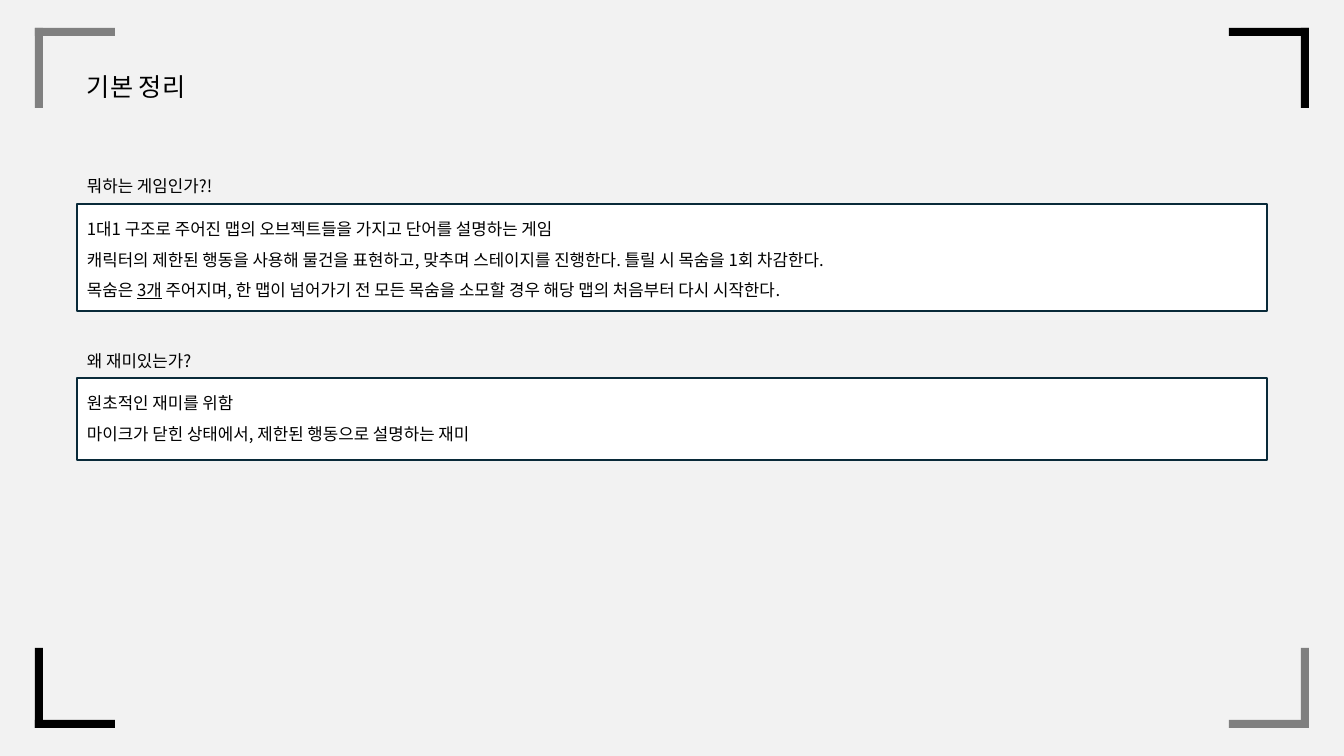
"""Build the game summary slide with corner brackets and two framed answers."""
from lxml import etree
from pptx import Presentation
from pptx.dml.color import RGBColor
from pptx.enum.shapes import MSO_SHAPE
from pptx.enum.text import MSO_AUTO_SIZE
from pptx.oxml.ns import qn
from pptx.util import Emu, Pt

RECT = MSO_SHAPE.RECTANGLE
GROW = MSO_AUTO_SIZE.SHAPE_TO_FIT_TEXT
PX = 914400 / 100.8
FONT = "Noto Sans CJK KR"
W, H = 1344, 756
LEFT, BOX_W, TEXT_W = 77, 1190, 1067
MARGIN_X, MARGIN_Y, ARM, THICK = 35, 28, 80, 8


def rgb(value):
    return RGBColor.from_string(value)


def px(*lengths):
    return [Emu(round(n * PX)) for n in lengths]


prs = Presentation()
prs.slide_width, prs.slide_height = px(W, H)
s = prs.slides.add_slide(prs.slide_layouts[6])
s.background.fill.solid()
s.background.fill.fore_color.rgb = rgb("F2F2F2")

rects = []
for right in (False, True):
    for bottom in (False, True):
        color = "808080" if right == bottom else "000000"
        for w, h in ((ARM, THICK), (THICK, ARM)):
            x = W - MARGIN_X - w if right else MARGIN_X
            y = H - MARGIN_Y - h if bottom else MARGIN_Y
            rects.append((x, y, w, h, color, None))
for y, h in ((204, 107), (378, 82)):
    rects.append((LEFT, y, BOX_W, h, "FFFFFF", "092A39"))

for x, y, w, h, fill, line in rects:
    sp = s.shapes.add_shape(RECT, *px(x, y, w, h))
    sp.shadow.inherit = False
    sp.fill.solid()
    sp.fill.fore_color.rgb = rgb(fill)
    if line:
        sp.line.color.rgb = rgb(line)
        sp.line.width = Pt(1.5)
    else:
        sp.line.fill.background()

texts = [
    (66, 341, 40, 18, 1, [["기본 정리"]]),
    (161, TEXT_W, 37, 12, 1.5, [["뭐하는 게임인가?!"]]),
    (204, TEXT_W, 99, 12, 1.5, [
        ["1대1 구조로 주어진 맵의 오브젝트들을 가지고 단어를 설명하는 게임"],
        ["캐릭터의 제한된 행동을 사용해 물건을 표현하고, 맞추며 스테이지를 진행한다. "
         "틀릴 시 목숨을 1회 차감한다."],
        ["목숨은 ", "3개",
         " 주어지며, 한 맵이 넘어가기 전 모든 목숨을 소모할 경우 "
         "해당 맵의 처음부터 다시 시작한다."],
    ]),
    (336, TEXT_W, 37, 12, 1.5, [["왜 재미있는가?"]]),
    (378, TEXT_W, 69, 12, 1.5, [
        ["원초적인 재미를 위함"],
        ["마이크가 닫힌 상태에서, 제한된 행동으로 설명하는 재미"],
    ]),
]

for y, w, h, size, spacing, paragraphs in texts:
    tf = s.shapes.add_textbox(*px(LEFT, y, w, h)).text_frame
    tf.word_wrap = True
    tf.auto_size = GROW
    for i, runs in enumerate(paragraphs):
        p = tf.add_paragraph() if i else tf.paragraphs[0]
        p.line_spacing = float(spacing)
        for text in runs:
            r = p.add_run()
            r.text = text
            r.font.size = Pt(size)
            r.font.name = FONT
            r.font.color.rgb = rgb("000000")
            if text == "3개":
                r.font.underline = True
            etree.SubElement(r.font._element, qn("a:ea"), typeface=FONT)

prs.save("out.pptx")
